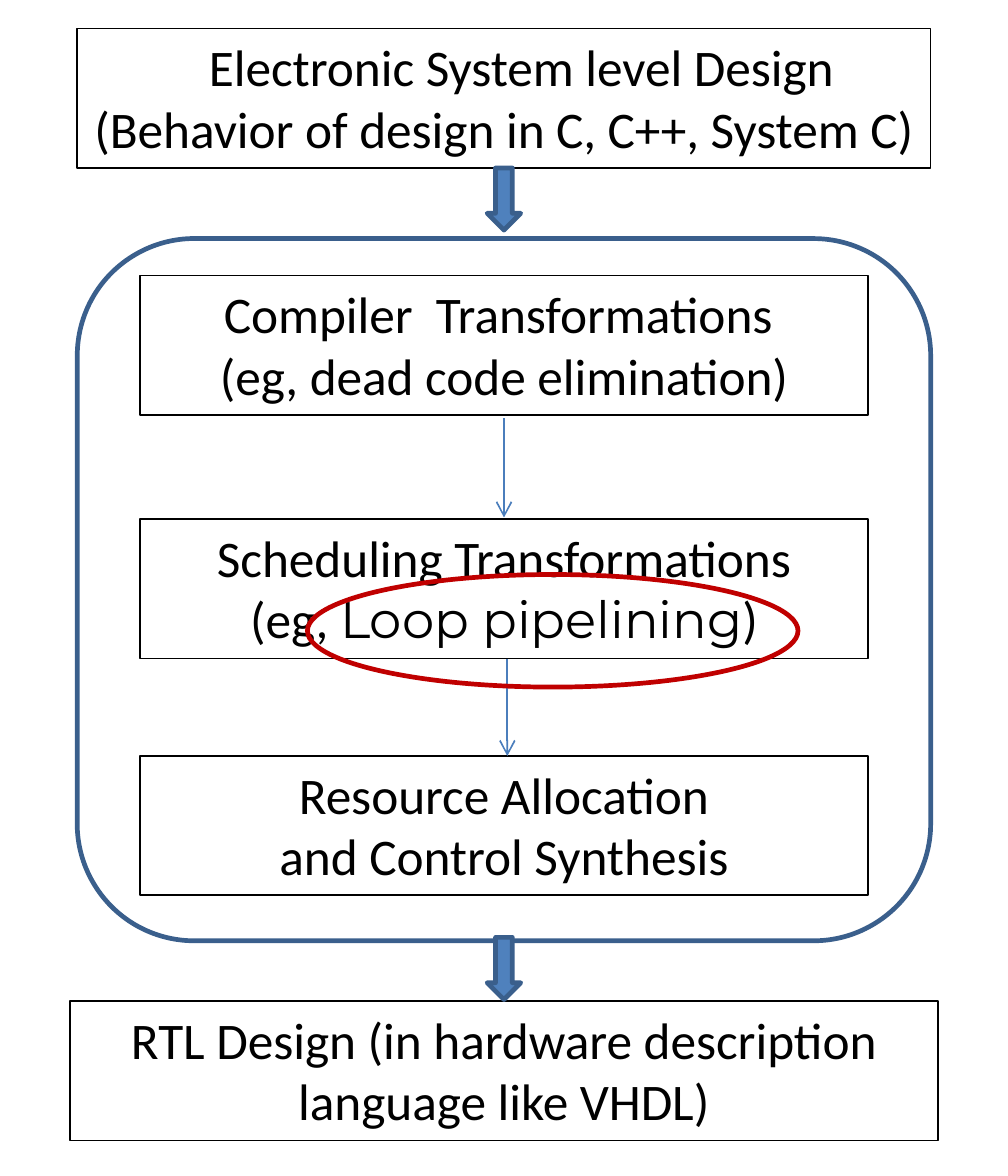
from lxml import etree
from pptx import Presentation
from pptx import util as u
from pptx.dml.color import RGBColor
from pptx.enum import shapes, text
from pptx.oxml.ns import qn

COLORS = {"ink": "000000", "edge": "3A5F8C", "block": "4F81BD", "link": "4B7EBC", "highlight": "C00000"}
COLUMNS, ROWS = 12, 14
CENTER = COLUMNS / 2
STAGE_WIDTH, STEP_WIDTH, STAGE_HEIGHT = 10.16, 8.67, 1.66


class FlowSlide:
    font, accent_font, size = "Calibri", "Montserrat", 22
    thin, thick = 0.75, 2

    def __init__(self, deck):
        self.slide = deck.slides.add_slide(deck.slide_layouts[6])
        self.column = deck.slide_width / COLUMNS
        self.row = deck.slide_height / ROWS

    def point(self, x, y):
        return u.Emu(round(x * self.column)), u.Emu(round(y * self.row))

    def color(self, name):
        return RGBColor.from_string(COLORS[name])

    def outline(self, item, color, width):
        item.line.color.rgb = self.color(color)
        item.line.width = u.Pt(width)

    def shape(self, kind, top, width, height, edge, weight=thick, fill=None, center=CENTER):
        item = self.slide.shapes.add_shape(
            kind, *self.point(center - width / 2, top), *self.point(width, height))
        item.shadow.inherit = False
        if fill:
            item.fill.solid()
            item.fill.fore_color.rgb = self.color(fill)
        else:
            item.fill.background()
        self.outline(item, edge, weight)
        return item

    def stage(self, top, lines, width=STEP_WIDTH, accent=None, first_indent=0):
        box = self.shape(shapes.MSO_SHAPE.RECTANGLE, top, width, STAGE_HEIGHT, "ink", self.thin)
        frame = box.text_frame
        frame.text = "\n".join(lines)
        frame.word_wrap = True
        frame.vertical_anchor = text.MSO_ANCHOR.TOP
        frame.margin_left = frame.margin_right = u.Inches(0.09)
        frame.margin_top = frame.margin_bottom = u.Inches(0.04)
        for paragraph in frame.paragraphs:
            paragraph.alignment = text.PP_ALIGN.CENTER
            if accent and accent in paragraph.text:
                before, after = paragraph.text.split(accent)
                paragraph.text = before
                for part in (accent, after):
                    paragraph.add_run().text = part
            for run in paragraph.runs:
                run.font.name = self.accent_font if run.text == accent else self.font
                run.font.size = u.Pt(self.size)
                run.font.color.rgb = self.color("ink")
        if first_indent:
            frame.paragraphs[0]._p.get_or_add_pPr().set("marL", str(u.Pt(first_indent)))

    def link(self, x, start, end):
        line = self.slide.shapes.add_connector(
            shapes.MSO_CONNECTOR.STRAIGHT, *self.point(x, start), *self.point(x, end))
        self.outline(line, "link", self.thin)
        etree.SubElement(line.line._get_or_add_ln(), qn("a:tailEnd"), type="arrow")
        etree.SubElement(line._element.spPr, qn("a:effectLst"))

    def block_arrow(self, top):
        self.shape(shapes.MSO_SHAPE.DOWN_ARROW, top, 0.4, 0.74, "edge", fill="block")


def main():
    deck = Presentation()
    deck.slide_width, deck.slide_height = u.Inches(6), u.Inches(7)
    flow = FlowSlide(deck)

    flow.shape(shapes.MSO_SHAPE.ROUNDED_RECTANGLE, 2.84, STAGE_WIDTH, 8.36, "edge")
    flow.stage(0.34, ["Electronic System level Design", "(Behavior of design in C, C++, System C)"],
               STAGE_WIDTH, first_indent=15)
    flow.stage(11.92, ["RTL Design (in hardware description language like VHDL)"], 10.34)
    flow.stage(3.28, ["Compiler  Transformations ", "(eg, dead code elimination)"])
    flow.stage(6.18, ["Scheduling Transformations", "(eg, Loop pipelining)"], accent="Loop pipelining")
    flow.stage(9, ["Resource Allocation", "and Control Synthesis"])

    flow.link(CENTER, 4.98, 6.16)
    flow.link(CENTER + 0.04, 7.84, 9)
    for top in (11.16, 2):
        flow.block_arrow(top)
    flow.shape(shapes.MSO_SHAPE.OVAL, 6.84, 5.84, 1.34, "highlight", center=6.58)

    deck.save("out.pptx")


if __name__ == "__main__":
    main()
